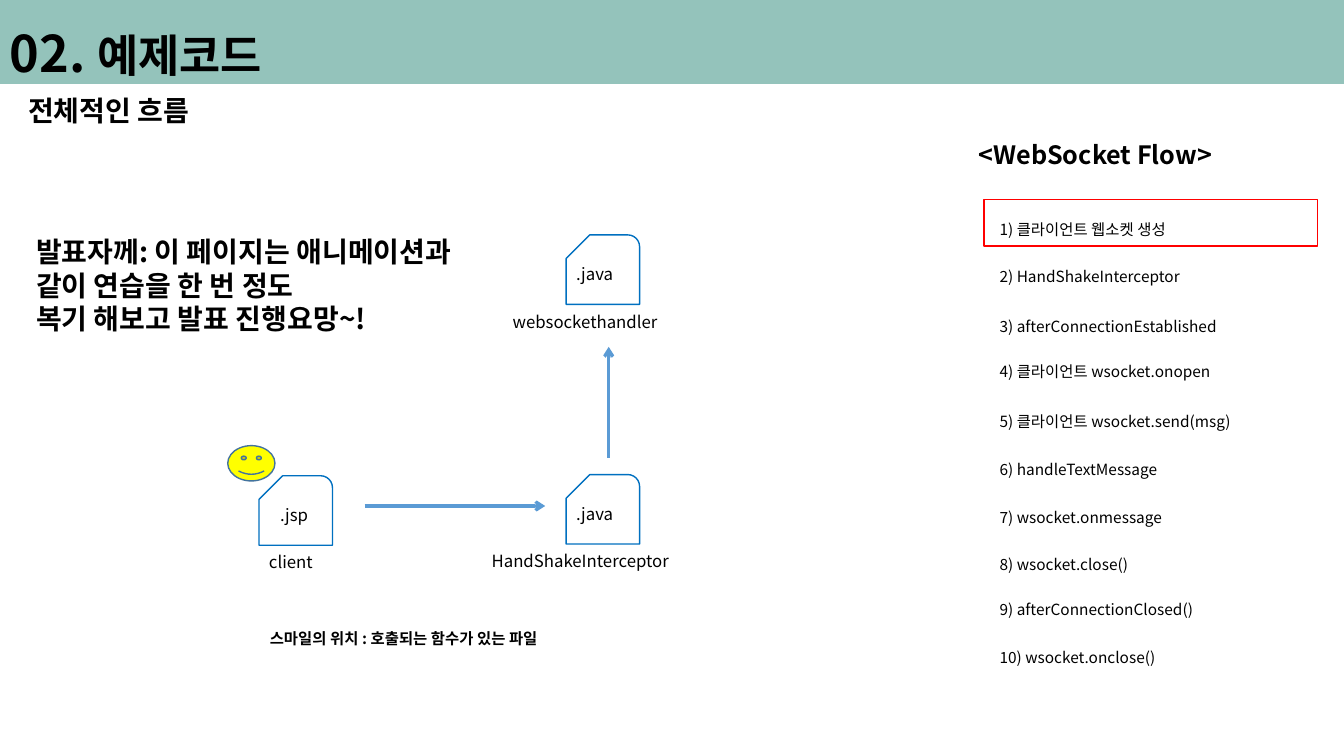
from lxml.etree import SubElement
from pptx import Presentation
from pptx.dml.color import RGBColor
from pptx.enum.shapes import MSO_CONNECTOR as Connector, MSO_SHAPE as Preset
from pptx.oxml.ns import qn
from pptx.util import Cm, Pt

FONT = "Noto Sans CJK KR"
TEAL = RGBColor(0x94, 0xC3, 0xBB)
WHITE = RGBColor(0xFF, 0xFF, 0xFF)
BLACK = RGBColor(0x00, 0x00, 0x00)
FILE_BLUE = RGBColor(0x00, 0x70, 0xC0)
ARROW_BLUE = RGBColor(0x5B, 0x9B, 0xD5)
SMILE_BLUE = RGBColor(0x43, 0x73, 0x9E)
YELLOW = RGBColor(0xFF, 0xFF, 0x00)
RED = RGBColor(0xFF, 0x00, 0x00)

# Content: all lengths in centimetres
# Headings: left, top, width, height, bold, paragraphs of (text, size) runs
HEADINGS = [
    (0, 0.43, 23.95, 1.8, [[("02. ", 36), ("예제코드", 32)]]),
    (0.46, 2.24, 23.95, 1.12, [[("전체적인 흐름", 20)]]),
    (0.66, 5.79, 23.95, 2.82, [
        [("발표자께: 이 페이지는 애니메이션과", 20)],
        [("같이 연습을 한 번 정도", 20)],
        [("복기 해보고 발표 진행요망~!", 20)],
    ]),
    (24.41, 3.38, 10.26, 1.02, [[("<WebSocket Flow>", 18)]]),
    (6.55, 15.72, 12.93, 0.74, [[("스마일의 위치 : 호출되는 함수가 있는 파일", 11)]]),
]
# Flow steps: top, text
STEPS = [
    (5.41, "1) 클라이언트 웹소켓 생성"),
    (6.6, "2) HandShakeInterceptor"),
    (7.87, "3) afterConnectionEstablished"),
    (8.99, "4) 클라이언트 wsocket.onopen"),
    (10.26, "5) 클라이언트 wsocket.send(msg)"),
    (11.48, "6) handleTextMessage"),
    (12.67, "7) wsocket.onmessage"),
    (13.87, "8) wsocket.close()"),
    (15.01, "9) afterConnectionClosed()"),
    (16.21, "10) wsocket.onclose()"),
]
STEP_LEFT, STEP_WIDTH, STEP_HEIGHT = 24.94, 8.5, 0.74
# Files: left, top, suffix, suffix shift, caption, caption shift, caption width
FILES = [
    (6.53, 11.99, ".jsp", 0.28, "client", 0, 2.39),
    (14.27, 11.96, ".java", 0, "HandShakeInterceptor", -2.13, 6.65),
    (14.27, 5.92, ".java", 0, "websockethandler", -1.6, 5.33),
]
FILE_WIDTH, FILE_HEIGHT = 1.85, 1.75
SUFFIX_DROP, CAPTION_DROP = 0.61, 1.8
# Arrows: from x, y, to x, y
ARROWS = [(9.19, 12.75, 13.74, 12.75), (15.34, 11.53, 15.34, 8.74)]


def add_text(page, left, top, width, height, paragraphs, bold=False):
    box = page.shapes.add_textbox(Cm(left), Cm(top), Cm(width), Cm(height))
    frame = box.text_frame
    frame.word_wrap = True
    for index, runs in enumerate(paragraphs):
        para = frame.add_paragraph() if index else frame.paragraphs[0]
        for text, size in runs:
            span = para.add_run()
            span.text = text
            span.font.size = Pt(size)
            span.font.bold = bold
            span.font.color.rgb = BLACK
            span.font.name = FONT
            SubElement(span.font._element, qn("a:ea")).set("typeface", FONT)


def add_preset(page, preset, left, top, width, height, fill=None, line=None):
    shape = page.shapes.add_shape(preset, Cm(left), Cm(top), Cm(width), Cm(height))
    shape.shadow.inherit = False
    if fill is None:
        shape.fill.background()
    else:
        shape.fill.solid()
        shape.fill.fore_color.rgb = fill
    if line is None:
        shape.line.fill.background()
    else:
        shape.line.color.rgb = line
        shape.line.width = Pt(1)
    return shape


def add_file(page, left, top, suffix, suffix_shift, caption, caption_shift, caption_width):
    icon = add_preset(page, Preset.SNIP_ROUND_RECTANGLE, left, top,
                      FILE_WIDTH, FILE_HEIGHT, line=FILE_BLUE)
    icon.adjustments[0], icon.adjustments[1] = 0.17, 0.34
    icon._element.spPr.find(qn("a:xfrm")).set("flipH", "1")
    add_text(page, left + suffix_shift, top + SUFFIX_DROP, 2.39, 0.76, [[(suffix, 12)]])
    add_text(page, left + caption_shift, top + CAPTION_DROP, caption_width, 0.76,
             [[(caption, 12)]])


def add_arrow(page, *ends):
    arrow = page.shapes.add_connector(Connector.STRAIGHT, *map(Cm, ends))
    arrow.line.color.rgb = ARROW_BLUE
    arrow.line.width = Pt(2.25)
    SubElement(arrow.line._get_or_add_ln(), qn("a:tailEnd")).set("type", "arrow")
    SubElement(arrow._element.spPr, qn("a:effectLst"))


def main():
    deck = Presentation()
    deck.slide_width, deck.slide_height = Cm(33.87), Cm(19.05)
    page = deck.slides.add_slide(deck.slide_layouts[6])

    # Teal band above a white body
    page.background.fill.solid()
    page.background.fill.fore_color.rgb = TEAL
    add_preset(page, Preset.RECTANGLE, 0, 2.12, 33.87, 16.93, fill=WHITE)

    # Flow steps, the current one framed
    for top, text in STEPS:
        add_text(page, STEP_LEFT, top, STEP_WIDTH, STEP_HEIGHT, [[(text, 11)]])
    add_preset(page, Preset.RECTANGLE, 24.8, 5.03, 8.41, 1.17, line=RED)

    # File diagram
    for file in FILES:
        add_file(page, *file)
    for ends in ARROWS:
        add_arrow(page, *ends)
    add_preset(page, Preset.SMILEY_FACE, 5.74, 11.23, 1.19, 0.89,
               fill=YELLOW, line=SMILE_BLUE)

    # Headings and notes
    for left, top, width, height, paragraphs in HEADINGS:
        add_text(page, left, top, width, height, paragraphs, bold=True)

    deck.save("out.pptx")


if __name__ == "__main__":
    main()
